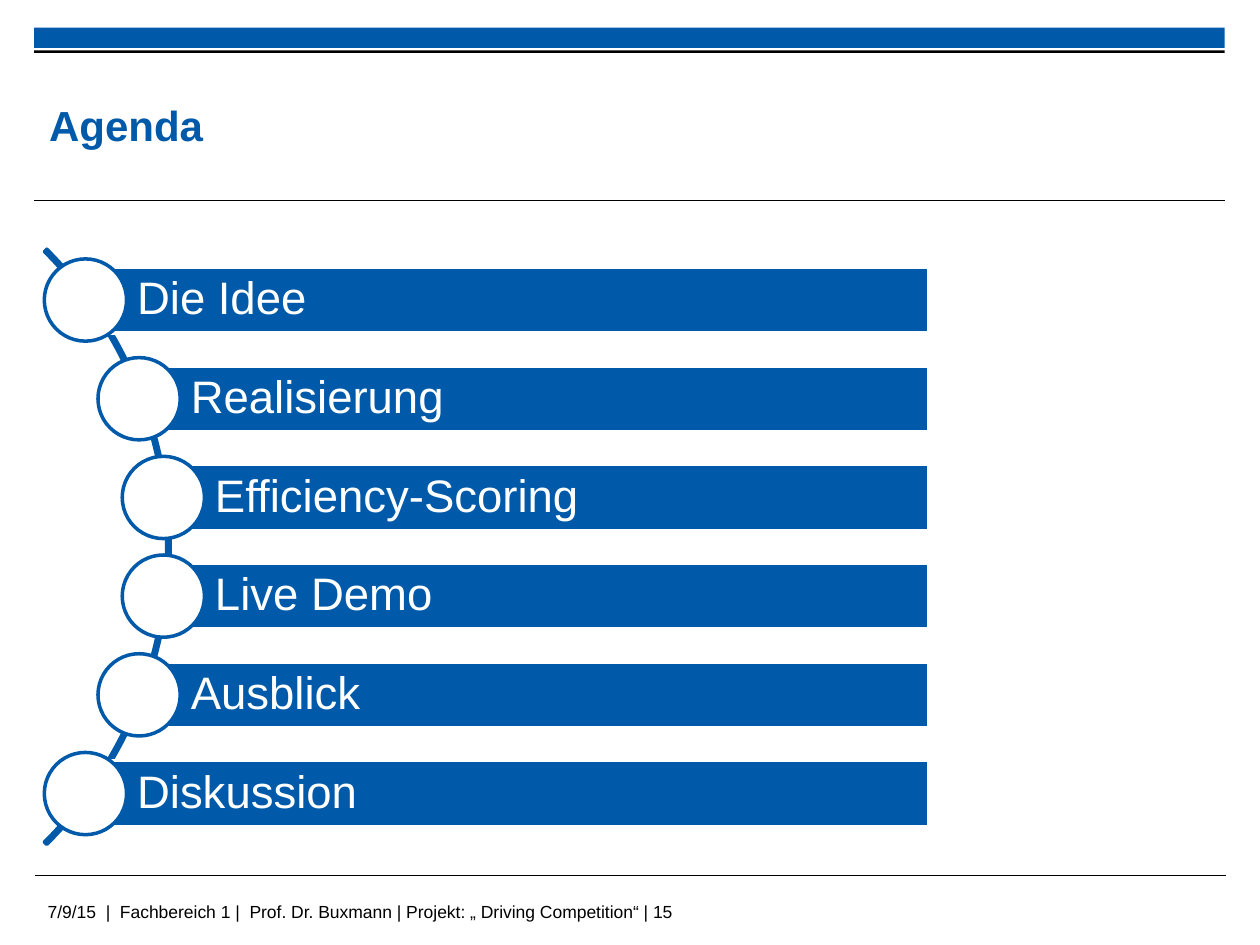
from dataclasses import dataclass
from math import sqrt

from lxml.etree import SubElement
from pptx import Presentation
from pptx.dml.color import RGBColor
from pptx.enum.shapes import MSO_CONNECTOR, MSO_SHAPE
from pptx.enum.text import MSO_ANCHOR, PP_ALIGN
from pptx.oxml.ns import qn
from pptx.util import Inches, Pt

CELL = Inches(0.1)  # the page is a grid of 100 columns and 75 rows
COLUMNS, ROWS = 100, 75


@dataclass(frozen=True)
class Theme:
    blue: RGBColor = RGBColor(0x00, 0x5A, 0xA9)
    black: RGBColor = RGBColor(0, 0, 0)
    white: RGBColor = RGBColor(255, 255, 255)
    font: str = "Arial"
    title_size: int = 24
    item_size: int = 26
    footer_size: int = 10
    rule_width: float = 0.6
    outline_width: float = 2


@dataclass(frozen=True)
class Box:
    left: float
    top: float
    width: float
    height: float

    @property
    def emu(self):
        return [round(n * CELL) for n in (self.left, self.top, self.width, self.height)]


THEME = Theme()
TOPICS = ["Die Idee", "Realisierung", "Efficiency-Scoring",
          "Live Demo", "Ausblick", "Diskussion"]
FOOTER = ("7/9/15  |  Fachbereich 1 |  Prof. Dr. Buxmann | "
          "Projekt: „ Driving Competition“ | 15")


def add_shape(page, kind, box, fill, outline=None):
    shape = page.shapes.add_shape(kind, *box.emu)
    shape.shadow.inherit = False
    shape.fill.solid()
    shape.fill.fore_color.rgb = fill
    if outline is None:
        shape.line.fill.background()
    else:
        shape.line.color.rgb = outline
        shape.line.width = Pt(THEME.outline_width)
    return shape


def add_rule(page, left, top, width):
    x, y, length, _ = Box(left, top, width, 0).emu
    rule = page.shapes.add_connector(MSO_CONNECTOR.STRAIGHT, x, y, x + length, y)
    rule.line.color.rgb = THEME.black
    rule.line.width = Pt(THEME.rule_width)
    SubElement(rule._element.spPr, qn("a:effectLst"))


def write(shape, text, size, color, insets, bold=False, anchor=MSO_ANCHOR.MIDDLE):
    """Set one left-aligned paragraph; insets are left, top, right, bottom."""
    frame = shape.text_frame
    frame.text = text
    frame.word_wrap = True
    frame.vertical_anchor = anchor
    (frame.margin_left, frame.margin_top,
     frame.margin_right, frame.margin_bottom) = [round(n * CELL) for n in insets]
    para = frame.paragraphs[0]
    para.alignment = PP_ALIGN.LEFT
    font = para.runs[0].font
    font.name, font.size, font.bold = THEME.font, Pt(size), bold
    font.color.rgb = color
    return para


def add_header(page, box):
    # Blue band with a thin black bar below
    add_shape(page, MSO_SHAPE.RECTANGLE,
              Box(box.left, box.top, box.width, 1.6), THEME.blue)
    add_shape(page, MSO_SHAPE.RECTANGLE,
              Box(box.left, box.top + 1.8, box.width, 0.2), THEME.black)
    # Title and closing rule
    title = page.shapes.title
    title.left, title.top, title.width, title.height = Box(
        box.left + 1.2, box.top + 3.1, 72.6, 9.2).emu
    write(title, "Agenda", THEME.title_size, THEME.blue, (0, 0, 0, 0), bold=True)
    add_rule(page, box.left, box.top + box.height, box.width)


def add_agenda(page, box, topics):
    """Stack topic bars whose round markers sit on a circular arc."""
    pitch = box.height / len(topics)
    middle = box.top + box.height / 2
    bar_height, marker = pitch * 2 / 3, pitch * 5 / 6
    hub, radius, orbit = -19.9, 33.4, 33.1

    # Arc spanning 45 degrees either side of the horizontal
    arc = add_shape(page, MSO_SHAPE.BLOCK_ARC,
                    Box(hub - radius, middle - radius, 2 * radius, 2 * radius),
                    THEME.blue, THEME.blue)
    for index, value in enumerate((189, 27, 0.004)):
        arc.adjustments[index] = value

    for index, topic in enumerate(topics):
        y = box.top + (index + 0.5) * pitch
        x = hub + sqrt(orbit ** 2 - (y - middle) ** 2)
        # Bar from the marker's centre to the right edge
        bar = add_shape(page, MSO_SHAPE.RECTANGLE,
                        Box(x, y - bar_height / 2,
                            box.left + box.width - x, bar_height),
                        THEME.blue, THEME.white)
        para = write(bar, topic, THEME.item_size, THEME.white, (4.1, 0.7, 0.7, 0.7))
        para.line_spacing = 0.9
        # Round marker
        add_shape(page, MSO_SHAPE.OVAL,
                  Box(x - marker / 2, y - marker / 2, marker, marker),
                  THEME.white, THEME.blue)


def add_footer(page, box):
    add_rule(page, box.left, box.top, box.width)
    note = page.shapes.add_textbox(*Box(box.left, box.top + 1.5, 78.7, 2.5).emu)
    write(note, FOOTER, THEME.footer_size, THEME.black, (1, 0.5, 1, 0.5),
          anchor=MSO_ANCHOR.TOP)


def main():
    deck = Presentation()
    deck.slide_width, deck.slide_height = COLUMNS * CELL, ROWS * CELL
    page = deck.slides.add_slide(deck.slide_layouts[5])
    add_header(page, Box(2.7, 2.2, 94.5, 13.7))
    add_agenda(page, Box(3.5, 19.9, 70.2, 47), TOPICS)
    add_footer(page, Box(2.8, 69.5, 94.5, 4))
    deck.save("out.pptx")


if __name__ == "__main__":
    main()
